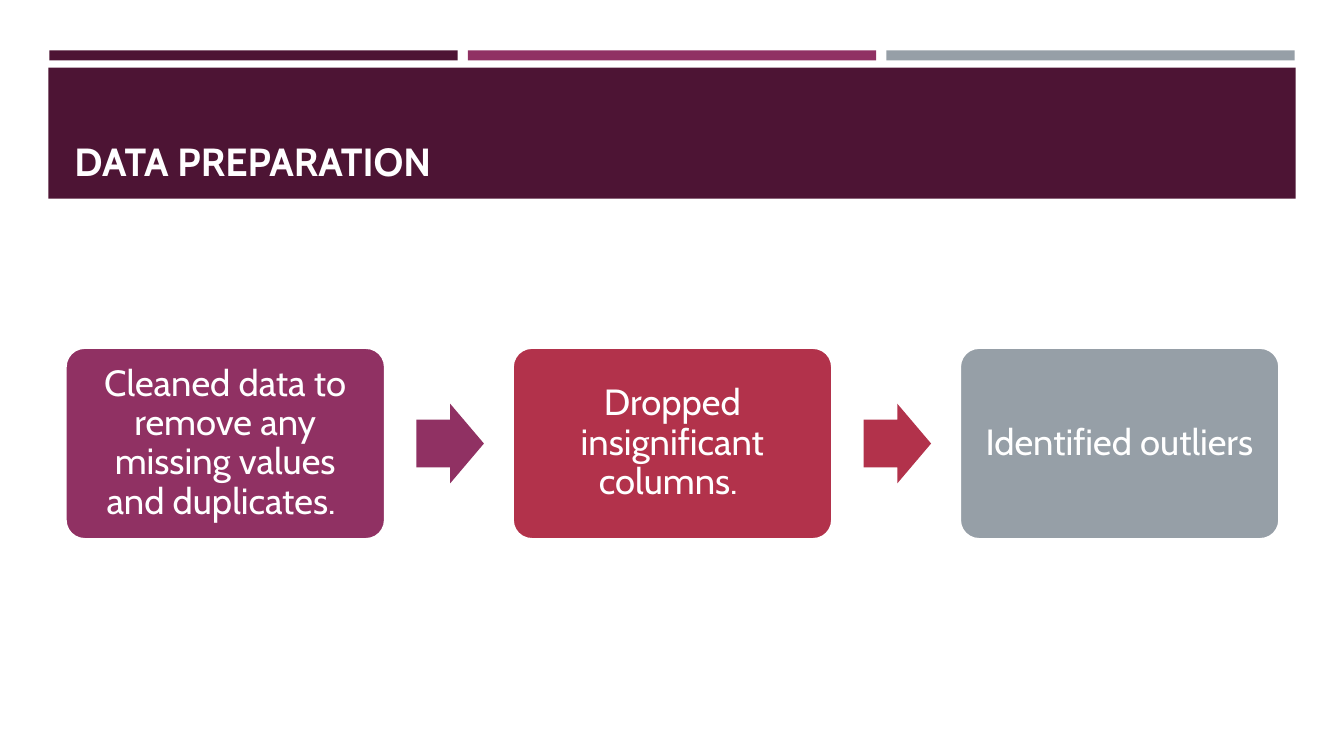
import pptx
import pptx.util
from dataclasses import dataclass
from pptx.dml.color import RGBColor
from pptx.enum.shapes import MSO_SHAPE
from pptx.enum.text import MSO_ANCHOR, PP_ALIGN
from pptx.util import Inches, Pt


@dataclass(frozen=True)
class Theme:
    font: str = "Cabin"
    dark: str = "4D1434"
    plum: str = "903163"
    red: str = "B2324B"
    gray: str = "969FA7"
    white: str = "FFFFFF"
    title_text: str = "FFFEFF"
    title_size: int = 28
    step_size: int = 26


THEME = Theme()

STEPS = [
    ("Cleaned data to remove any missing values and duplicates. ", THEME.plum),
    ("Dropped insignificant columns. ", THEME.red),
    ("Identified outliers", THEME.gray),
]
STEP_LEFT, STEP_TOP, STEP_PITCH = 0.65, 3.45, 4.435
STEP_W, STEP_H = 3.17, 1.9
ARROW_OFFSET, ARROW_W, ARROW_H = 3.48, 0.67, 0.79


def add_filled(s, kind, left, top, width, height, color):
    sp = s.shapes.add_shape(kind, Inches(left), Inches(top),
                            Inches(width), Inches(height))
    sp.shadow.inherit = False
    sp.fill.solid()
    sp.fill.fore_color.rgb = RGBColor.from_string(color)
    sp.line.fill.background()
    return sp


def format_run(r, size, color, bold=False):
    r.font.name = THEME.font
    r.font.size = Pt(size)
    r.font.bold = bold
    r.font.color.rgb = RGBColor.from_string(color)


def add_header(s, title):
    """Three accent strips above a dark band that carries the title."""
    for i, color in enumerate((THEME.dark, THEME.plum, THEME.gray)):
        add_filled(s, MSO_SHAPE.RECTANGLE, 0.49 + 4.15 * i, 0.5, 4.05, 0.1, color)
    add_filled(s, MSO_SHAPE.RECTANGLE, 0.48, 0.67, 12.37, 1.3, THEME.dark)

    box = s.shapes.add_textbox(Inches(0.64), Inches(0.77),
                               Inches(12.06), Inches(1.11))
    tf = box.text_frame
    tf.word_wrap = True
    tf.vertical_anchor = MSO_ANCHOR.BOTTOM
    tf.text = title
    format_run(tf.paragraphs[0].runs[0], THEME.title_size, THEME.title_text, bold=True)


def add_step(s, left, text, color):
    sp = add_filled(s, MSO_SHAPE.ROUNDED_RECTANGLE, left, STEP_TOP,
                    STEP_W, STEP_H, color)
    sp.adjustments[0] = 0.1
    sp.line.color.rgb = RGBColor.from_string(THEME.white)
    sp.line.width = Pt(1.75)

    tf = sp.text_frame
    tf.word_wrap = True
    tf.vertical_anchor = MSO_ANCHOR.MIDDLE
    tf.margin_left = tf.margin_right = Inches(0.11)
    tf.margin_top = tf.margin_bottom = Inches(0.11)
    tf.text = text
    p = tf.paragraphs[0]
    p.alignment = PP_ALIGN.CENTER
    p.line_spacing = 0.9
    format_run(p.runs[0], THEME.step_size, THEME.white)


def add_step_arrow(s, left, color):
    top = STEP_TOP + (STEP_H - ARROW_H) / 2
    sp = add_filled(s, MSO_SHAPE.RIGHT_ARROW, left, top, ARROW_W, ARROW_H, color)
    sp.adjustments[0] = 0.6
    sp.adjustments[1] = 0.5


def main():
    prs = pptx.Presentation()
    prs.slide_width, prs.slide_height = Inches(13.33), Inches(7.5)
    s = prs.slides.add_slide(prs.slide_layouts[6])

    add_header(s, "DATA PREPARATION")
    for i, (text, color) in enumerate(STEPS):
        left = STEP_LEFT + STEP_PITCH * i
        add_step(s, left, text, color)
        if i < len(STEPS) - 1:
            add_step_arrow(s, left + ARROW_OFFSET, color)

    prs.save("out.pptx")


if __name__ == "__main__":
    main()
